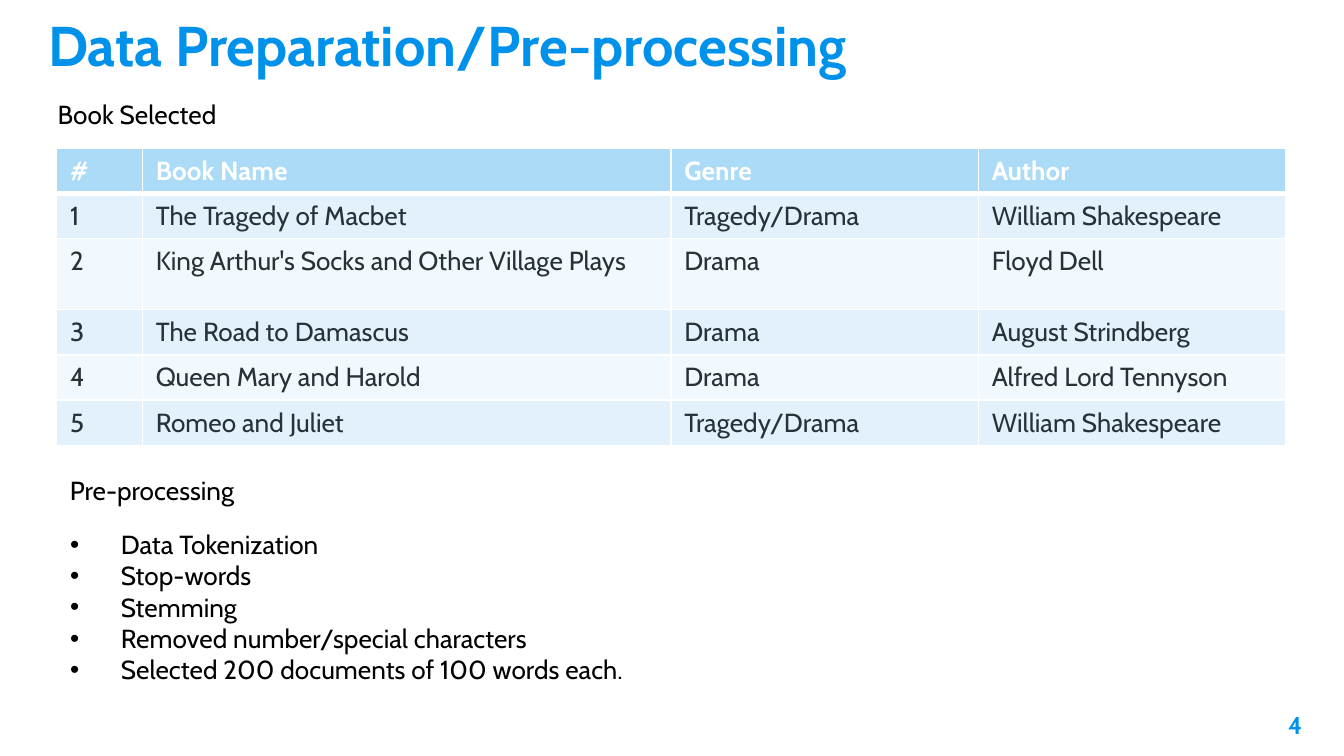
"""Build the slide on data preparation and pre-processing."""

from dataclasses import dataclass

from lxml import etree
from pptx import Presentation
from pptx.dml.color import RGBColor
from pptx.enum.text import MSO_ANCHOR, MSO_AUTO_SIZE, PP_ALIGN
from pptx.oxml.ns import qn
from pptx.slide import Slide
from pptx.table import _Cell
from pptx.text.text import TextFrame
from pptx.util import Cm, Pt

LEFT, RIGHT = PP_ALIGN.LEFT, PP_ALIGN.RIGHT
TOP, BOTTOM = MSO_ANCHOR.TOP, MSO_ANCHOR.BOTTOM
NO_AUTOFIT = MSO_AUTO_SIZE.NONE

FONT = "Cabin"
COLORS = {
    "accent": "0091EA",
    "text": "000000",
    "cell_text": "263238",
    "white": "FFFFFF",
    "header": "ACDBF8",
    "odd_row": "E3F1FC",
    "even_row": "F1F8FE",
}
WIDE_INSET = Cm(0.25)
BULLET_INDENT = Cm(0.96)


@dataclass(frozen=True)
class Box:
    """Position and size in centimetres."""

    left: float
    top: float
    width: float
    height: float


@dataclass(frozen=True)
class Label:
    """A short line of text in its own box."""

    text: str
    box: Box


@dataclass(frozen=True)
class Book:
    """One selected book."""

    name: str
    genre: str
    author: str


TITLE_BOX = Box(0.66, 0.3, 17.15, 1.42)
BULLET_BOX = Box(1.07, 9.86, 12.7, 3.25)
NUMBER_BOX = Box(23.34, 13.18, 1.52, 1.09)
TABLE_BOX = Box(1.07, 2.8, 23.23, 5.29)
COLUMN_WIDTHS = (1.62, 9.99, 5.81, 5.81)
ROW_HEIGHTS = (0.79, 0.79, 1.34, 0.79, 0.79, 0.79)
HEADINGS = ("#", "Book Name", "Genre", "Author")

LABELS = (
    Label("Book Selected", Box(0.84, 1.73, 3.51, 0.86)),
    Label("Pre-processing", Box(1.07, 8.84, 3.63, 0.86)),
)
BOOKS = (
    Book("The Tragedy of Macbet", "Tragedy/Drama", "William Shakespeare"),
    Book("King Arthur's Socks and Other Village Plays", "Drama", "Floyd Dell"),
    Book("The Road to Damascus", "Drama", "August Strindberg"),
    Book("Queen Mary and Harold", "Drama", "Alfred Lord Tennyson"),
    Book("Romeo and Juliet", "Tragedy/Drama", "William Shakespeare"),
)
STEPS = (
    "Data Tokenization",
    "Stop-words",
    "Stemming",
    "Removed number/special characters",
    "Selected 200 documents of 100 words each.",
)


def write_text(
    frame: TextFrame,
    text: str,
    *,
    size: float = 14,
    color: str = "text",
    bold: bool = False,
    align: PP_ALIGN = LEFT,
) -> None:
    """Fill a text frame, one paragraph per line of text."""
    frame.text = text
    for paragraph in frame.paragraphs:
        paragraph.alignment = align
        paragraph.space_before = Pt(0)
        for run in paragraph.runs:
            run.font.name = FONT
            run.font.size = Pt(size)
            run.font.bold = bold
            run.font.color.rgb = RGBColor.from_string(COLORS[color])


def place(shape, box: Box) -> None:
    """Move and size a shape."""
    shape.left, shape.top = Cm(box.left), Cm(box.top)
    shape.width, shape.height = Cm(box.width), Cm(box.height)


def set_frame(
    frame: TextFrame, *, wrap: bool = True, anchor: MSO_ANCHOR = TOP, wide: bool = False
) -> None:
    """Set wrapping, anchor and insets of a text frame."""
    frame.auto_size = NO_AUTOFIT
    frame.word_wrap = wrap
    frame.vertical_anchor = anchor
    if wide:
        frame.margin_left = frame.margin_right = WIDE_INSET
        frame.margin_top = frame.margin_bottom = WIDE_INSET


def add_label(slide: Slide, label: Label) -> None:
    """Add a one-line text box."""
    box = label.box
    shape = slide.shapes.add_textbox(
        Cm(box.left), Cm(box.top), Cm(box.width), Cm(box.height)
    )
    set_frame(shape.text_frame, wrap=False)
    write_text(shape.text_frame, label.text)


def add_page_number(slide: Slide, number: str) -> None:
    """Add the page number in the lower right corner."""
    box = NUMBER_BOX
    shape = slide.shapes.add_textbox(
        Cm(box.left), Cm(box.top), Cm(box.width), Cm(box.height)
    )
    set_frame(shape.text_frame, wide=True)
    write_text(
        shape.text_frame, number, size=13, color="accent", bold=True, align=RIGHT
    )


def set_borders(cell: _Cell, bottom: float) -> None:
    """Draw white borders around a cell, the lower one in its own width."""
    properties = cell._tc.get_or_add_tcPr()
    for side, width in (("L", 1), ("R", 1), ("T", 1), ("B", bottom)):
        line = etree.SubElement(properties, qn(f"a:ln{side}"), w=str(Pt(width)))
        fill = etree.SubElement(line, qn("a:solidFill"))
        etree.SubElement(fill, qn("a:srgbClr"), val=COLORS["white"])


def add_book_table(slide: Slide) -> None:
    """Add the table of selected books."""
    rows = [HEADINGS] + [
        (str(number), book.name, book.genre, book.author)
        for number, book in enumerate(BOOKS, start=1)
    ]
    box = TABLE_BOX
    table = slide.shapes.add_table(
        len(rows), len(HEADINGS),
        Cm(box.left), Cm(box.top), Cm(box.width), Cm(box.height),
    ).table
    for column, width in zip(table.columns, COLUMN_WIDTHS):
        column.width = Cm(width)
    for index, (row, height, values) in enumerate(zip(table.rows, ROW_HEIGHTS, rows)):
        row.height = Cm(height)
        header = index == 0
        fill = "header" if header else ("even_row", "odd_row")[index % 2]
        for cell, value in zip(row.cells, values):
            set_borders(cell, bottom=3 if header else 1)
            cell.fill.solid()
            cell.fill.fore_color.rgb = RGBColor.from_string(COLORS[fill])
            write_text(
                cell.text_frame, value,
                color="white" if header else "cell_text", bold=header,
            )


def fill_title(slide: Slide, text: str) -> None:
    """Format the title placeholder."""
    title = slide.shapes.title
    place(title, TITLE_BOX)
    set_frame(title.text_frame, anchor=BOTTOM, wide=True)
    write_text(title.text_frame, text, size=30, color="accent", bold=True)


def fill_steps(slide: Slide) -> None:
    """Format the body placeholder as the list of steps."""
    body = slide.placeholders[1]
    place(body, BULLET_BOX)
    set_frame(body.text_frame)
    write_text(body.text_frame, "\n".join(STEPS))
    for paragraph in body.text_frame.paragraphs:
        properties = paragraph._p.get_or_add_pPr()
        properties.set("marL", str(BULLET_INDENT))
        properties.set("indent", str(-BULLET_INDENT))


def main() -> None:
    """Build and save the presentation."""
    presentation = Presentation()
    presentation.slide_width, presentation.slide_height = Cm(25.4), Cm(14.29)
    slide = presentation.slides.add_slide(presentation.slide_layouts[1])
    fill_title(slide, "Data Preparation/Pre-processing")
    add_page_number(slide, "4")
    add_book_table(slide)
    fill_steps(slide)
    for label in LABELS:
        add_label(slide, label)
    presentation.save("out.pptx")


if __name__ == "__main__":
    main()
